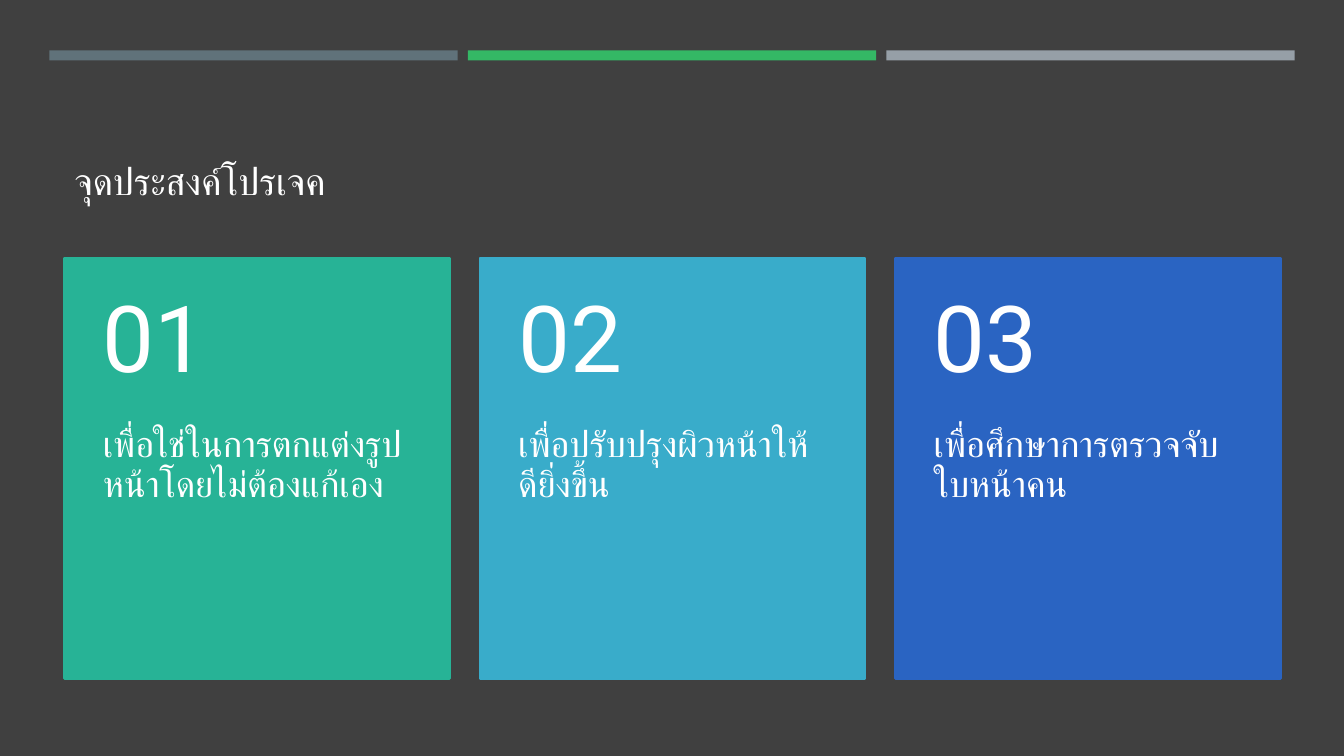
from pptx import Presentation
from pptx.dml.color import RGBColor
from pptx.enum.shapes import MSO_SHAPE
from pptx.enum.text import MSO_ANCHOR, PP_ALIGN
from pptx.util import Inches, Pt

BLACK = RGBColor(0x00, 0x00, 0x00)
CHARCOAL = RGBColor(0x40, 0x40, 0x40)
WHITE = RGBColor(0xFF, 0xFF, 0xFF)
SLATE = RGBColor(0x60, 0x72, 0x7A)
GREEN = RGBColor(0x34, 0xB8, 0x65)
GREY = RGBColor(0x96, 0x9F, 0xA7)
TEAL = RGBColor(0x27, 0xB3, 0x96)
SKY = RGBColor(0x39, 0xAC, 0xCA)
BLUE = RGBColor(0x2A, 0x64, 0xC2)

WIDTH, HEIGHT = 13.33, 7.5
BAR_LEFT, BAR_STEP = 0.49, 4.15
CARD_LEFT, CARD_STEP, CARD_WIDTH = 0.64, 4.12, 3.82
CARD_TOP, NUMBER_HEIGHT, GOAL_HEIGHT = 2.56, 1.67, 2.5

GOALS = [
    (TEAL, "เพื่อใช่ในการตกแต่งรูปหน้าโดยไม่ต้องแก้เอง"),
    (SKY, "เพื่อปรับปรุงผิวหน้าให้ดียิ่งขึ้น"),
    (BLUE, "เพื่อศึกษาการตรวจจับใบหน้าคน"),
]


class SlideBuilder:
    def __init__(self, page, font="Roboto", color=WHITE):
        self.page = page
        self.font = font
        self.color = color

    def background(self, color):
        fill = self.page.background.fill
        fill.solid()
        fill.fore_color.rgb = color

    def rectangle(self, left, top, width, height, color, outline=None):
        """Draw a filled rectangle; outline is a width in points."""
        box = self.page.shapes.add_shape(
            MSO_SHAPE.RECTANGLE,
            Inches(left), Inches(top), Inches(width), Inches(height))
        box.shadow.inherit = False
        box.fill.solid()
        box.fill.fore_color.rgb = color
        if outline:
            box.line.color.rgb = color
            box.line.width = Pt(outline)
        else:
            box.line.fill.background()

    def text(self, text, left, top, width, height, size,
             anchor=MSO_ANCHOR.TOP, insets=(0.1, 0.05, 0.1, 0.05)):
        """Add wrapped text; insets are left, top, right, bottom."""
        box = self.page.shapes.add_textbox(
            Inches(left), Inches(top), Inches(width), Inches(height))
        frame = box.text_frame
        frame.word_wrap = True
        frame.vertical_anchor = anchor
        (frame.margin_left, frame.margin_top,
         frame.margin_right, frame.margin_bottom) = map(Inches, insets)
        para = frame.paragraphs[0]
        para.alignment = PP_ALIGN.LEFT
        para.line_spacing = 0.9
        span = para.add_run()
        span.text = text
        span.font.name = self.font
        span.font.size = Pt(size)
        span.font.color.rgb = self.color

    def card(self, left, number, goal, color):
        self.rectangle(left, CARD_TOP, CARD_WIDTH,
                       NUMBER_HEIGHT + GOAL_HEIGHT, color, outline=1.75)
        self.text(goal, left, CARD_TOP + NUMBER_HEIGHT, CARD_WIDTH,
                  GOAL_HEIGHT, 26, insets=(0.38, 0, 0.38, 0.36))
        self.text(f"{number:02}", left, CARD_TOP, CARD_WIDTH, NUMBER_HEIGHT,
                  66, MSO_ANCHOR.MIDDLE, (0.38, 0.18, 0.38, 0.18))


def main():
    deck = Presentation()
    deck.slide_width, deck.slide_height = Inches(WIDTH), Inches(HEIGHT)
    builder = SlideBuilder(deck.slides.add_slide(deck.slide_layouts[6]))

    builder.background(BLACK)
    builder.rectangle(0, 0, WIDTH, HEIGHT, CHARCOAL)
    builder.text("จุดประสงค์โปรเจค", 0.64, 0.77, 12.06, 1.3, 27,
                 MSO_ANCHOR.BOTTOM)
    for index, color in enumerate((SLATE, GREEN, GREY)):
        builder.rectangle(BAR_LEFT + index * BAR_STEP, 0.5, 4.05, 0.1, color)
    for index, (color, goal) in enumerate(GOALS):
        builder.card(CARD_LEFT + index * CARD_STEP, index + 1, goal, color)

    deck.save("out.pptx")


if __name__ == "__main__":
    main()
